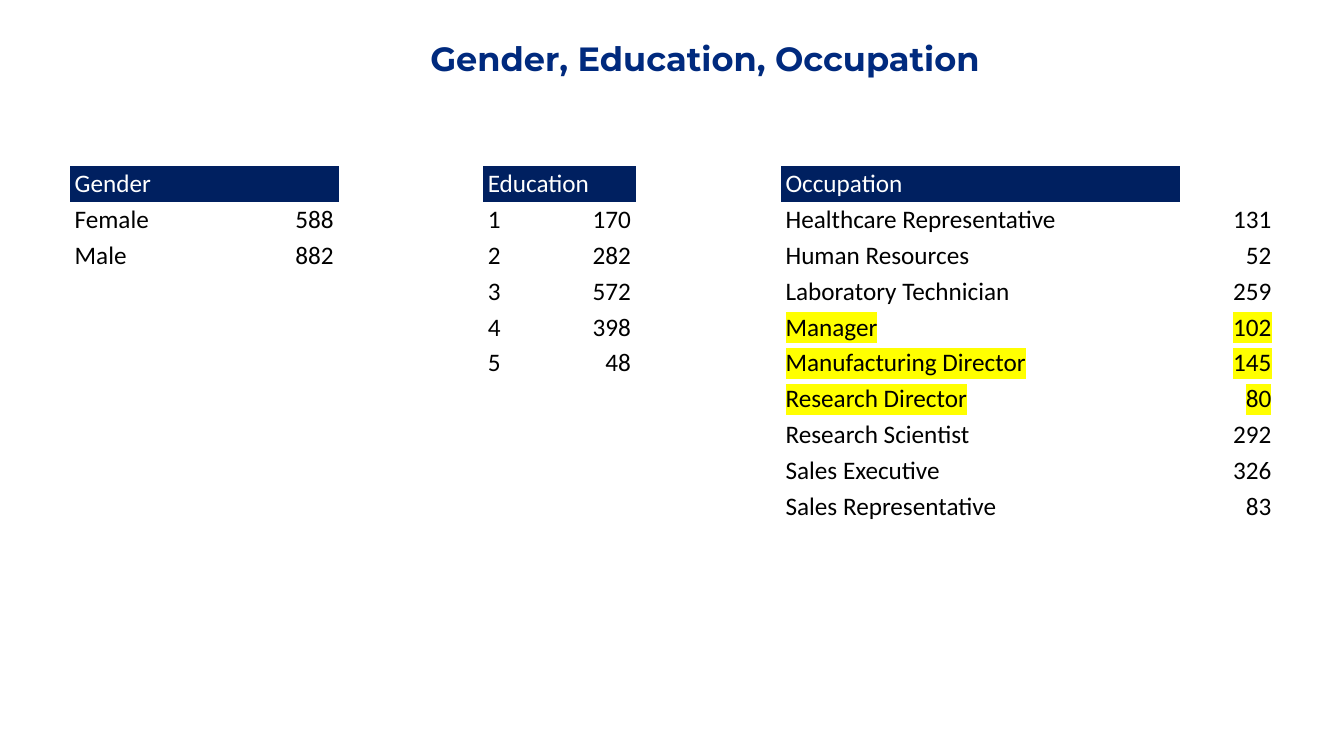
import pptx
import pptx.util
import pptx.dml.color
import pptx.enum.text
import pptx.oxml.ns
import lxml.etree

Cm = pptx.util.Cm
RGBColor = pptx.dml.color.RGBColor
ALIGN = pptx.enum.text.PP_ALIGN

NAVY = RGBColor(0x00, 0x20, 0x60)
TITLE_BLUE = RGBColor(0x00, 0x2A, 0x7E)
WHITE = RGBColor(0xFF, 0xFF, 0xFF)
BLACK = RGBColor(0x00, 0x00, 0x00)
YELLOW = RGBColor(0xFF, 0xFF, 0x00)

PLAIN_TABLE_STYLE = "{2D5ABB26-0587-4C30-8999-92F81FD0307C}"
TABLE_TOP = Cm(8.36)
ROW_HEIGHT = Cm(1.78)


def write(frame, text, font="Calibri", size=36, color=BLACK, bold=False,
          align=ALIGN.LEFT, spacing=None, highlight=None):
    paragraph = frame.paragraphs[0]
    paragraph.alignment = align
    paragraph.line_spacing = spacing
    run = paragraph.add_run()
    run.text = text
    run.font.size = pptx.util.Pt(size)
    run.font.bold = bold
    run.font.color.rgb = color
    if highlight is not None:
        # The highlight element must stand between the fill and the typeface.
        marker = lxml.etree.SubElement(run.font.color._xFill.getparent(),
                                       pptx.oxml.ns.qn("a:highlight")) \
            if hasattr(run.font.color, "_xFill") else \
            lxml.etree.SubElement(run._r.get_or_add_rPr(), pptx.oxml.ns.qn("a:highlight"))
        lxml.etree.SubElement(marker, pptx.oxml.ns.qn("a:srgbClr"), val=str(highlight))
    run.font.name = font


# heading, left, column widths, heading spans both columns, counts
summaries = [
    ("Gender", 3.51, (7.9, 5.66), True, [("Female", 588), ("Male", 882)]),
    ("Education", 24.33, (4.09, 3.63), True,
     [("1", 170), ("2", 282), ("3", 572), ("4", 398), ("5", 48)]),
    ("Occupation", 39.34, (20.12, 4.88), False,
     [("Healthcare Representative", 131), ("Human Resources", 52),
      ("Laboratory Technician", 259), ("Manager", 102),
      ("Manufacturing Director", 145), ("Research Director", 80),
      ("Research Scientist", 292), ("Sales Executive", 326),
      ("Sales Representative", 83)]),
]
highlighted = {"Manager", "Manufacturing Director", "Research Director"}

presentation = pptx.Presentation()
presentation.slide_width = Cm(67.74)
presentation.slide_height = Cm(38.1)
slide = presentation.slides.add_slide(presentation.slide_layouts[6])

for heading, left, widths, spans, counts in summaries:
    row_count = len(counts) + 1
    frame = slide.shapes.add_table(row_count, 2, Cm(left), TABLE_TOP,
                                   Cm(sum(widths)), ROW_HEIGHT * row_count)
    table = frame.table
    table.first_row = False
    table.horz_banding = False
    table._tbl.tblPr.find(pptx.oxml.ns.qn("a:tableStyleId")).text = PLAIN_TABLE_STYLE
    for column, width in zip(table.columns, widths):
        column.width = Cm(width)
    for cell in table.iter_cells():
        cell.fill.background()
        cell.vertical_anchor = pptx.enum.text.MSO_ANCHOR.MIDDLE

    header = table.cell(0, 0)
    if spans:
        header.merge(table.cell(0, 1))
    header.fill.solid()
    header.fill.fore_color.rgb = NAVY
    write(header.text_frame, heading, color=WHITE)

    for row, (category, count) in enumerate(counts, start=1):
        mark = YELLOW if category in highlighted else None
        write(table.cell(row, 0).text_frame, category, highlight=mark)
        write(table.cell(row, 1).text_frame, str(count), align=ALIGN.RIGHT, highlight=mark)

title = slide.shapes.add_textbox(Cm(20.93), Cm(2.03), Cm(29.21), Cm(3.68))
title.text_frame.word_wrap = True
write(title.text_frame, "Gender, Education, Occupation", font="Montserrat", size=48,
      color=TITLE_BLUE, bold=True, align=ALIGN.CENTER, spacing=0.9)

presentation.save("out.pptx")
